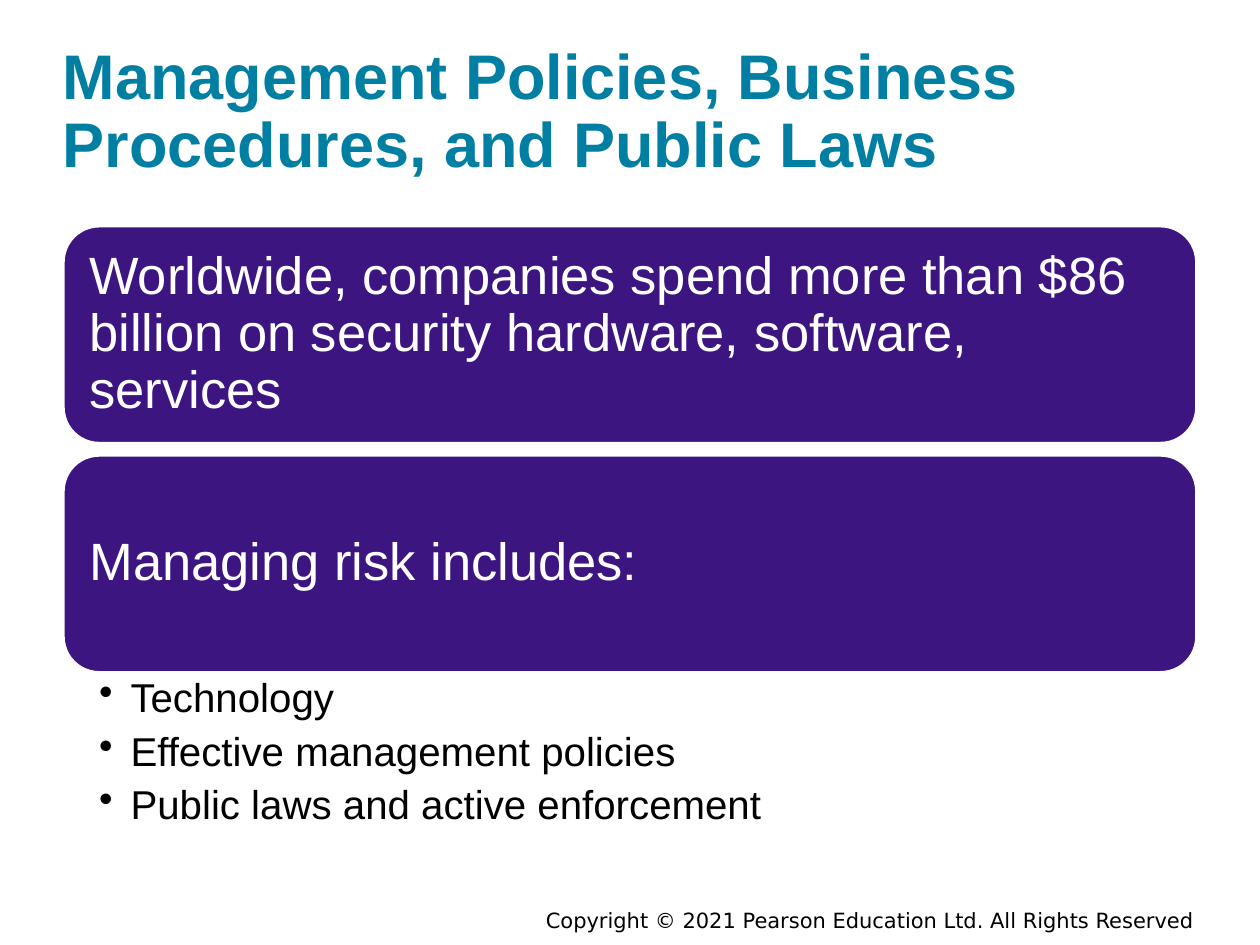
import pptx
import pptx.util
import pptx.dml.color
import pptx.enum.shapes
import pptx.enum.text
import pptx.oxml.ns
import lxml.etree

Pt = pptx.util.Pt
ALIGN = pptx.enum.text.PP_ALIGN
ANCHOR = pptx.enum.text.MSO_ANCHOR
COLOURS = {"title": "007FA3", "band": "3C1581", "white": "FFFFFF", "black": "000000"}


def rgb(name):
    return pptx.dml.color.RGBColor.from_string(COLOURS[name])


class SlideBuilder:
    """Holds the slide and its common style."""

    font = "Arial"
    left, width = 36, 648

    def __init__(self, slide):
        self.shapes = slide.shapes

    def fill_text(self, shape, lines, size, colour, insets, anchor, bold=False,
                  font=None, align=ALIGN.LEFT, spacing=0.9, after=0, bullet_indent=0):
        frame = shape.text_frame
        frame.word_wrap = True
        frame.vertical_anchor = anchor
        (frame.margin_left, frame.margin_top,
         frame.margin_right, frame.margin_bottom) = [Pt(inset) for inset in insets]
        for index, line in enumerate(lines):
            paragraph = frame.add_paragraph() if index else frame.paragraphs[0]
            paragraph.text = line
            paragraph.alignment = align
            paragraph.line_spacing = spacing
            paragraph.space_after = Pt(after)
            if bullet_indent:
                self.add_bullet(paragraph, bullet_indent)
            paragraph.font.name = font or self.font
            paragraph.font.size = Pt(size)
            paragraph.font.bold = bold
            paragraph.font.color.rgb = rgb(colour)

    def add_bullet(self, paragraph, indent):
        properties = paragraph._p.get_or_add_pPr()
        properties.set("marL", str(Pt(indent)))
        properties.set("indent", str(-Pt(indent)))
        bullet = lxml.etree.SubElement(properties, pptx.oxml.ns.qn("a:buChar"))
        bullet.set("char", "•")

    def text(self, lines, left, top, width, height, **style):
        box = self.shapes.add_textbox(Pt(left), Pt(top), Pt(width), Pt(height))
        self.fill_text(box, lines, **style)

    def band(self, statement, top, height):
        band = self.shapes.add_shape(
            pptx.enum.shapes.MSO_SHAPE.ROUNDED_RECTANGLE,
            Pt(self.left), Pt(top), Pt(self.width), Pt(height))
        band.shadow.inherit = False
        band.fill.solid()
        band.fill.fore_color.rgb = rgb("band")
        band.line.color.rgb = rgb("white")
        band.line.width = Pt(2)
        self.fill_text(band, [statement], size=30, colour="white", insets=[9] * 4,
                       anchor=ANCHOR.MIDDLE, after=10.5)


def main():
    deck = pptx.Presentation()
    deck.slide_width, deck.slide_height = Pt(720), Pt(540)
    builder = SlideBuilder(deck.slides.add_slide(deck.slide_layouts[6]))

    # Title
    builder.text(["Management Policies, Business Procedures, and Public Laws"],
                 builder.left, 17.3, builder.width, 86.4, size=36, colour="title",
                 bold=True, insets=[0] * 4, anchor=ANCHOR.BOTTOM)

    # Statement bands
    statements = [
        "Worldwide, companies spend more than $86 billion on security hardware, "
        "software, services",
        "Managing risk includes:",
    ]
    bands_top, band_height, band_pitch = 129, 124.5, 131
    for index, statement in enumerate(statements):
        builder.band(statement, bands_top + index * band_pitch, band_height)

    # Parts of managing risk
    builder.text(["Technology", "Effective management policies",
                  "Public laws and active enforcement"],
                 builder.left, 384.5, builder.width, 88, size=23, colour="black",
                 insets=[20.6, 2.9, 16.6, 2.9], anchor=ANCHOR.TOP,
                 after=5.75, bullet_indent=18)

    # Copyright line
    builder.text(["Copyright © 2021 Pearson Education Ltd. All Rights Reserved"],
                 213, 511.2, 476.5, 28.8, size=12, colour="black",
                 font="DejaVu Sans", insets=[7.2, 3.6, 7.2, 3.6],
                 anchor=ANCHOR.MIDDLE, align=ALIGN.RIGHT, spacing=1.0)

    deck.save("out.pptx")


if __name__ == "__main__":
    main()
